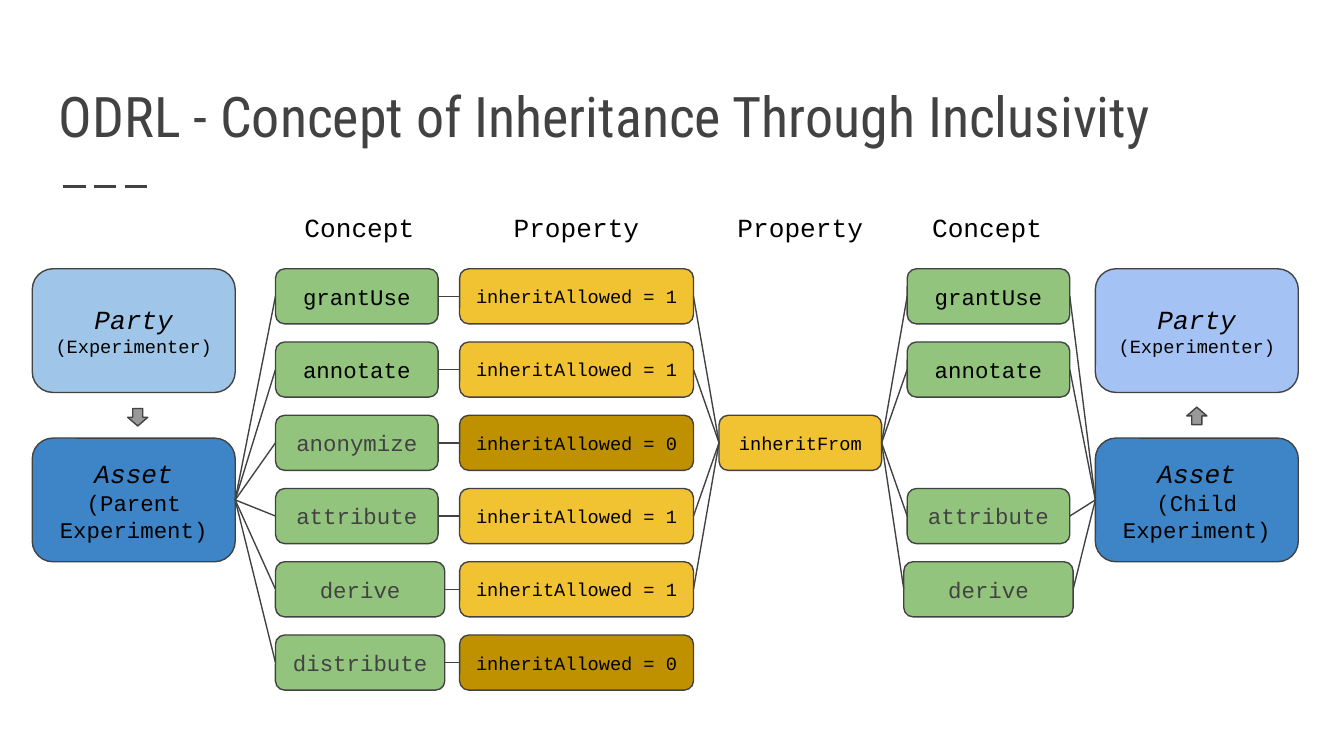
from lxml.etree import SubElement
from pptx import Presentation
from pptx.dml.color import RGBColor
from pptx.enum.dml import MSO_LINE
from pptx.enum.shapes import MSO_CONNECTOR, MSO_SHAPE
from pptx.enum.text import MSO_ANCHOR, PP_ALIGN
from pptx.oxml.ns import qn
from pptx.util import Inches, Pt

MONO, TITLE_FONT = "Courier New", "Roboto Condensed"
INK, BLACK = "424242", "000000"
GREEN, YELLOW, OCHRE, GRAY = "93C47D", "F1C232", "BF9000", "999999"
BLUE, LEFT_PARTY, RIGHT_PARTY = "3D85C6", "9FC5E8", "A4C2F4"
RIGHT_SIDE, LEFT_SIDE = 3, 1

SLIDE_WIDTH = 10
SLIDE_HEIGHT = SLIDE_WIDTH * 9 / 16
ROW_TOP, ROW_HEIGHT = 2, 0.41
ROW_PITCH = (4.18 - ROW_TOP) / 4
HEADING_TOP = 1.47
COLUMN_WIDTH, WIDE_CONCEPT, RULE_WIDTH = 1.21, 1.26, 1.74
ENTITY_WIDTH, ENTITY_HEIGHT, ASSET_OFFSET = 1.51, 0.92, 1.26

# concept, text colour, box width, inheritAllowed
CONCEPTS = [
    ("grantUse", BLACK, COLUMN_WIDTH, 1),
    ("annotate", BLACK, COLUMN_WIDTH, 1),
    ("anonymize", INK, COLUMN_WIDTH, 0),
    ("attribute", INK, COLUMN_WIDTH, 1),
    ("derive", INK, WIDE_CONCEPT, 1),
    ("distribute", INK, WIDE_CONCEPT, 0),
]


def rgb(value):
    return RGBColor.from_string(value)


def row_top(row):
    return ROW_TOP + row * ROW_PITCH


def write(shape, lines, font=MONO, align=PP_ALIGN.CENTER, anchor=MSO_ANCHOR.MIDDLE):
    """Fill a shape with lines of (text, size, colour, italic)."""
    frame = shape.text_frame
    frame.word_wrap = True
    frame.vertical_anchor = anchor
    frame.margin_left = frame.margin_right = Inches(0.1)
    frame.margin_top = frame.margin_bottom = Inches(0.1)
    frame.text = "\n".join(line[0] for line in lines)
    for paragraph, (_, size, color, italic) in zip(frame.paragraphs, lines):
        paragraph.alignment = align
        run_font = paragraph.runs[0].font
        run_font.name, run_font.size, run_font.italic = font, Pt(size), italic
        run_font.color.rgb = rgb(color)


def add_text(slide, box, text, size, color=BLACK, **style):
    text_box = slide.shapes.add_textbox(*map(Inches, box))
    write(text_box, [(text, size, color, False)], **style)


def add_heading(slide, left, width, text):
    add_text(slide, (left, HEADING_TOP, width, ROW_HEIGHT), text, 14,
             anchor=MSO_ANCHOR.TOP)


def add_block(slide, kind, box, fill, lines=()):
    shape = slide.shapes.add_shape(kind, *map(Inches, box))
    shape.shadow.inherit = False
    shape.fill.solid()
    shape.fill.fore_color.rgb = rgb(fill)
    shape.line.color.rgb = rgb(INK)
    shape.line.width = Pt(0.75)
    if lines:
        write(shape, lines)
    return shape


def add_label(slide, box, fill, text, size, color=BLACK):
    return add_block(slide, MSO_SHAPE.ROUNDED_RECTANGLE, box, fill,
                     [(text, size, color, False)])


def add_line(slide, start=(0, 0), end=(0, 0), width=0.75):
    line = slide.shapes.add_connector(MSO_CONNECTOR.STRAIGHT,
                                      *map(Inches, (*start, *end)))
    line.line.color.rgb = rgb(INK)
    line.line.width = Pt(width)
    SubElement(line._element.spPr, qn("a:effectLst"))
    return line


def join(slide, source, target):
    """Connect the right side of source to the left side of target."""
    line = add_line(slide)
    line.begin_connect(source, RIGHT_SIDE)
    line.end_connect(target, LEFT_SIDE)


def add_title(slide, left, top, width, height):
    add_text(slide, (left, top, width, height),
             "ODRL - Concept of Inheritance Through Inclusivity", 30, INK,
             font=TITLE_FONT, align=PP_ALIGN.LEFT, anchor=MSO_ANCHOR.BOTTOM)
    rule_y = top + height + 0.18
    rule = add_line(slide, (left + 0.13, rule_y), (left + 0.8, rule_y), 1.5)
    rule.line.dash_style = MSO_LINE.LONG_DASH


def add_experiment(slide, left, party_fill, asset_name, arrow, arrow_box):
    """Draw a party above its asset and return the asset."""
    entities = [
        (0, party_fill, "Party", "(Experimenter)", 10),
        (ASSET_OFFSET, BLUE, "Asset", asset_name, 12),
    ]
    for offset, fill, name, detail, size in entities:
        entity = add_block(
            slide, MSO_SHAPE.ROUNDED_RECTANGLE,
            (left, ROW_TOP + offset, ENTITY_WIDTH, ENTITY_HEIGHT), fill,
            [(name, 14, BLACK, True), (detail, size, BLACK, False)])
    arrow_left, arrow_top = arrow_box
    add_block(slide, arrow, (left + arrow_left, ROW_TOP + arrow_top, 0.15, 0.13), GRAY)
    return entity


def add_concepts(slide, left, rows, heading_shift, centered=False):
    """Draw the concept boxes of the given rows, keyed by row."""
    add_heading(slide, left + heading_shift, COLUMN_WIDTH, "Concept")
    boxes = {}
    for row in rows:
        name, color, width, _ = CONCEPTS[row]
        shift = (width - COLUMN_WIDTH) / 2 if centered else 0
        boxes[row] = add_label(slide, (left - shift, row_top(row), width, ROW_HEIGHT),
                               GREEN, name, 12, color)
    return boxes


def add_rules(slide, left):
    add_heading(slide, left, RULE_WIDTH, "Property")
    return [
        add_label(slide, (left, row_top(row), RULE_WIDTH, ROW_HEIGHT),
                  YELLOW if allowed else OCHRE, f"inheritAllowed = {allowed}", 10)
        for row, (*_, allowed) in enumerate(CONCEPTS)
    ]


def add_inherit_from(slide, left):
    add_heading(slide, left, COLUMN_WIDTH, "Property")
    return add_label(slide, (left, row_top(2), COLUMN_WIDTH, ROW_HEIGHT),
                     YELLOW, "inheritFrom", 10)


def build_slide(slide):
    add_title(slide, 0.34, 0.41, 9.32, 0.8)
    parent = add_experiment(slide, 0.24, LEFT_PARTY, "(Parent Experiment)",
                            MSO_SHAPE.DOWN_ARROW, (0.71, 1.04))
    child = add_experiment(slide, 8.15, RIGHT_PARTY, "(Child Experiment)",
                           MSO_SHAPE.UP_ARROW, (0.68, 1.03))
    inherited_rows = [row for row, concept in enumerate(CONCEPTS) if concept[3]]
    concepts = add_concepts(slide, 2.05, range(len(CONCEPTS)), 0.02)
    rules = add_rules(slide, 3.42)
    inherit_from = add_inherit_from(slide, 5.35)
    inherited = add_concepts(slide, 6.75, inherited_rows, -0.01, centered=True)

    for row, concept in concepts.items():
        join(slide, parent, concept)
        join(slide, concept, rules[row])
    for row, concept in inherited.items():
        join(slide, rules[row], inherit_from)
        join(slide, inherit_from, concept)
        join(slide, concept, child)


def main():
    presentation = Presentation()
    presentation.slide_width = Inches(SLIDE_WIDTH)
    presentation.slide_height = Inches(SLIDE_HEIGHT)
    build_slide(presentation.slides.add_slide(presentation.slide_layouts[6]))
    presentation.save("out.pptx")


if __name__ == "__main__":
    main()
